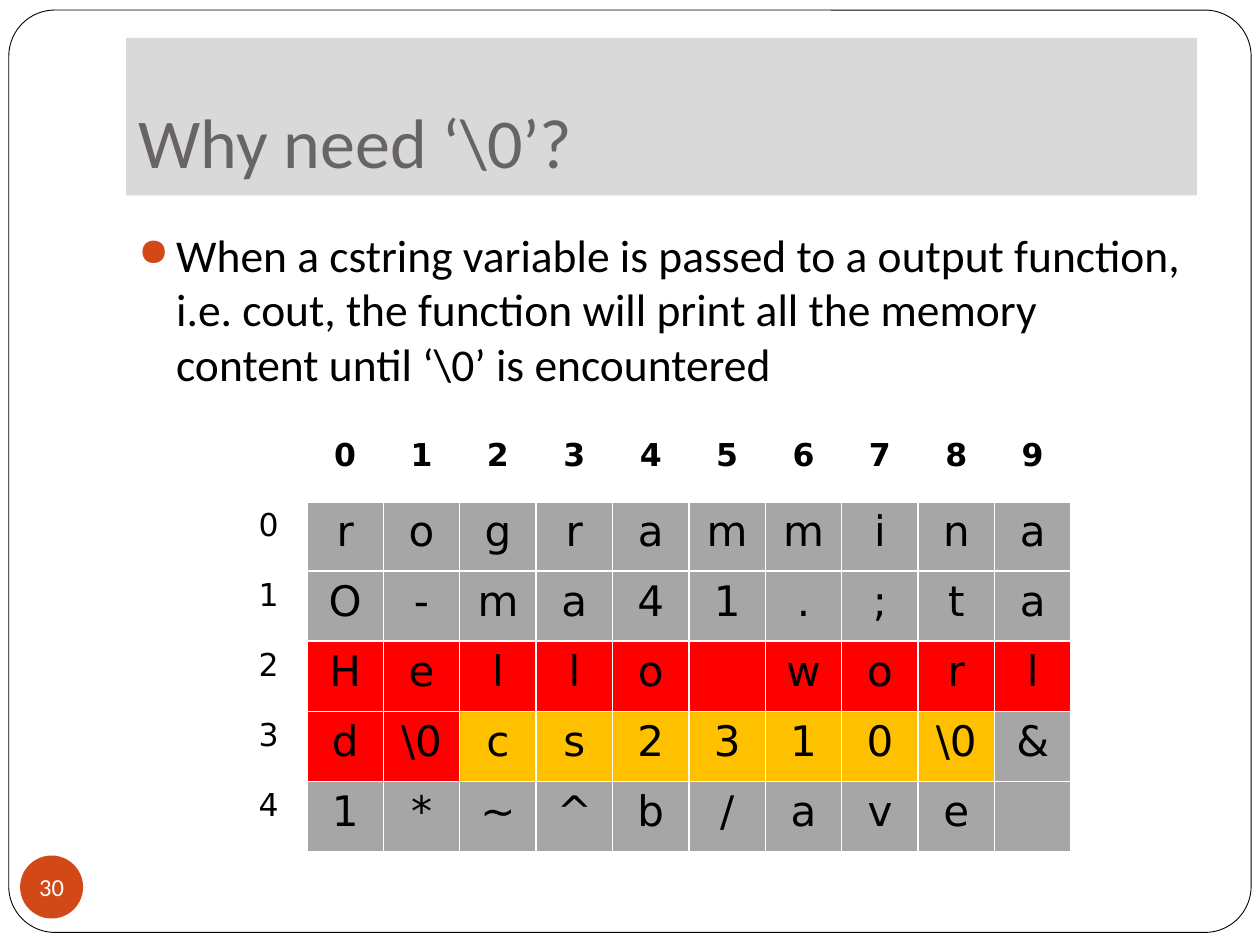
from lxml.etree import SubElement
from pptx import Presentation
from pptx.dml.color import RGBColor
from pptx.enum.shapes import MSO_SHAPE as Preset
from pptx.enum.text import MSO_ANCHOR as Anchor, MSO_AUTO_SIZE as AutoSize, PP_ALIGN as Align
from pptx.oxml.ns import qn
from pptx.util import Inches, Pt

BLACK = RGBColor(0x00, 0x00, 0x00)
WHITE = RGBColor(0xFF, 0xFF, 0xFF)
BAND = RGBColor(0xD9, 0xD9, 0xD9)
TITLE_GREY = RGBColor(0x69, 0x64, 0x64)
ACCENT = RGBColor(0xD3, 0x48, 0x17)
GREY = RGBColor(0xA6, 0xA6, 0xA6)
RED = RGBColor(0xFF, 0x00, 0x00)
AMBER = RGBColor(0xFF, 0xC0, 0x00)

# Content
TITLE = "Why need ‘\\0’?"
POINT = ("When a cstring variable is passed to a output function, i.e. cout, "
         "the function will print all the memory content until ‘\\0’ is encountered")
PAGE = "30"
NUL = "\\0"
MEMORY = [  # consecutive bytes, with the colour of their block
    ([*"rogramminaO-ma41.;ta"], GREY),
    ([*"Hello world", NUL], RED),
    ([*"cs2310", NUL], AMBER),
    ([*"&1*~^b/ave "], GREY),
]
PER_ROW = 10

# Layout
SLIDE_W, SLIDE_H = 10, 7.5
LEFT, CONTENT_W = SLIDE_W * 0.1, SLIDE_W * 0.85
TABLE_LEFT, TABLE_TOP, TABLE_W, TABLE_H = 1.83, 3.42, 6.67, 3.34


def write(frame, text, size, color=BLACK, font="Calibri", bold=False, align=Align.LEFT):
    paragraph = frame.paragraphs[0]
    paragraph.alignment = align
    run = paragraph.add_run()
    run.text = text
    run.font.size, run.font.name, run.font.bold = Pt(size), font, bold
    run.font.color.rgb = color
    return paragraph


def set_insets(frame, left, top, right, bottom):
    frame.margin_left, frame.margin_top = Inches(left), Inches(top)
    frame.margin_right, frame.margin_bottom = Inches(right), Inches(bottom)


def add_preset(shapes, preset, box, fill):
    shape = shapes.add_shape(preset, *map(Inches, box))
    shape.shadow.inherit = False
    shape.fill.solid()
    shape.fill.fore_color.rgb = fill
    shape.line.fill.background()
    return shape


def add_bullet(paragraph, indent, color, share, mark):
    props = paragraph._p.get_or_add_pPr()
    props.set("marL", str(Inches(indent)))
    props.set("indent", str(-Inches(indent)))
    tint = SubElement(props, qn("a:buClr"))
    SubElement(tint, qn("a:srgbClr"), val=str(color))
    SubElement(props, qn("a:buSzPct"), val=str(share * 1000))
    SubElement(props, qn("a:buChar"), char=mark)


def fill_cell(cell, text, size, fill=None, bold=False, rule=1):
    if text.strip():
        write(cell.text_frame, text, size, font="DejaVu Sans", bold=bold, align=Align.CENTER)
    props = cell._tc.get_or_add_tcPr()
    for side in ("lnL", "lnR", "lnT", "lnB"):
        width = rule if side == "lnB" else 1
        line = SubElement(props, qn("a:" + side), w=str(Pt(width)))
        SubElement(SubElement(line, qn("a:solidFill")), qn("a:srgbClr"), val=str(WHITE))
    if fill is None:
        cell.fill.background()
    else:
        cell.fill.solid()
        cell.fill.fore_color.rgb = fill


def main():
    deck = Presentation()
    deck.slide_width, deck.slide_height = Inches(SLIDE_W), Inches(SLIDE_H)
    slide = deck.slides.add_slide(deck.slide_layouts[5])
    shapes = slide.shapes

    # Rounded page frame, behind everything
    border = add_preset(shapes, Preset.ROUNDED_RECTANGLE, (0.07, 0.08, 9.86, 7.32), WHITE)
    border.adjustments[0] = 0.05
    border.line.color.rgb = BLACK
    border.line.width = Pt(0.5)
    shapes._spTree.insert(2, border._element)

    # Title band
    title = shapes.title
    title.left, title.top = Inches(LEFT), Inches(0.3)
    title.width, title.height = Inches(CONTENT_W), Inches(1.25)
    title.fill.solid()
    title.fill.fore_color.rgb = BAND
    heading = title.text_frame
    heading.auto_size, heading.vertical_anchor = AutoSize.NONE, Anchor.BOTTOM
    set_insets(heading, 0.1, 0.05, 0.1, 0.1)
    write(heading, TITLE, 40, TITLE_GREY)

    # Page number
    badge = add_preset(shapes, Preset.OVAL, (0.16, 6.79, 0.5, 0.5), ACCENT).text_frame
    badge.word_wrap, badge.vertical_anchor = False, Anchor.MIDDLE
    set_insets(badge, 0, 0, 0, 0)
    write(badge, PAGE, 14, WHITE, align=Align.CENTER)

    # Bullet point
    body = shapes.add_textbox(*map(Inches, (LEFT, 1.75, CONTENT_W, 4.83))).text_frame
    body.word_wrap = True
    point = write(body, POINT, 26)
    point.space_before = Pt(5.8)
    add_bullet(point, 0.3, ACCENT, 85, "●")

    # Memory table: index row and column around the bytes
    memory = [(char, color) for chars, color in MEMORY for char in chars]
    rows, columns = len(memory) // PER_ROW + 1, PER_ROW + 1
    table = shapes.add_table(
        rows, columns, *map(Inches, (TABLE_LEFT, TABLE_TOP, TABLE_W, TABLE_H))).table
    table.first_row = table.horz_banding = False
    for column in table.columns:
        column.width = Inches(TABLE_W / columns)
    for row in table.rows:
        row.height = Inches(TABLE_H / rows)

    fill_cell(table.cell(0, 0), "", 18, rule=3)
    for c in range(PER_ROW):
        fill_cell(table.cell(0, c + 1), str(c), 18, bold=True, rule=3)
    for r in range(rows - 1):
        fill_cell(table.cell(r + 1, 0), str(r), 18)
    for address, (char, color) in enumerate(memory):
        r, c = divmod(address, PER_ROW)
        fill_cell(table.cell(r + 1, c + 1), char, 24, fill=color)

    deck.save("out.pptx")


if __name__ == "__main__":
    main()
